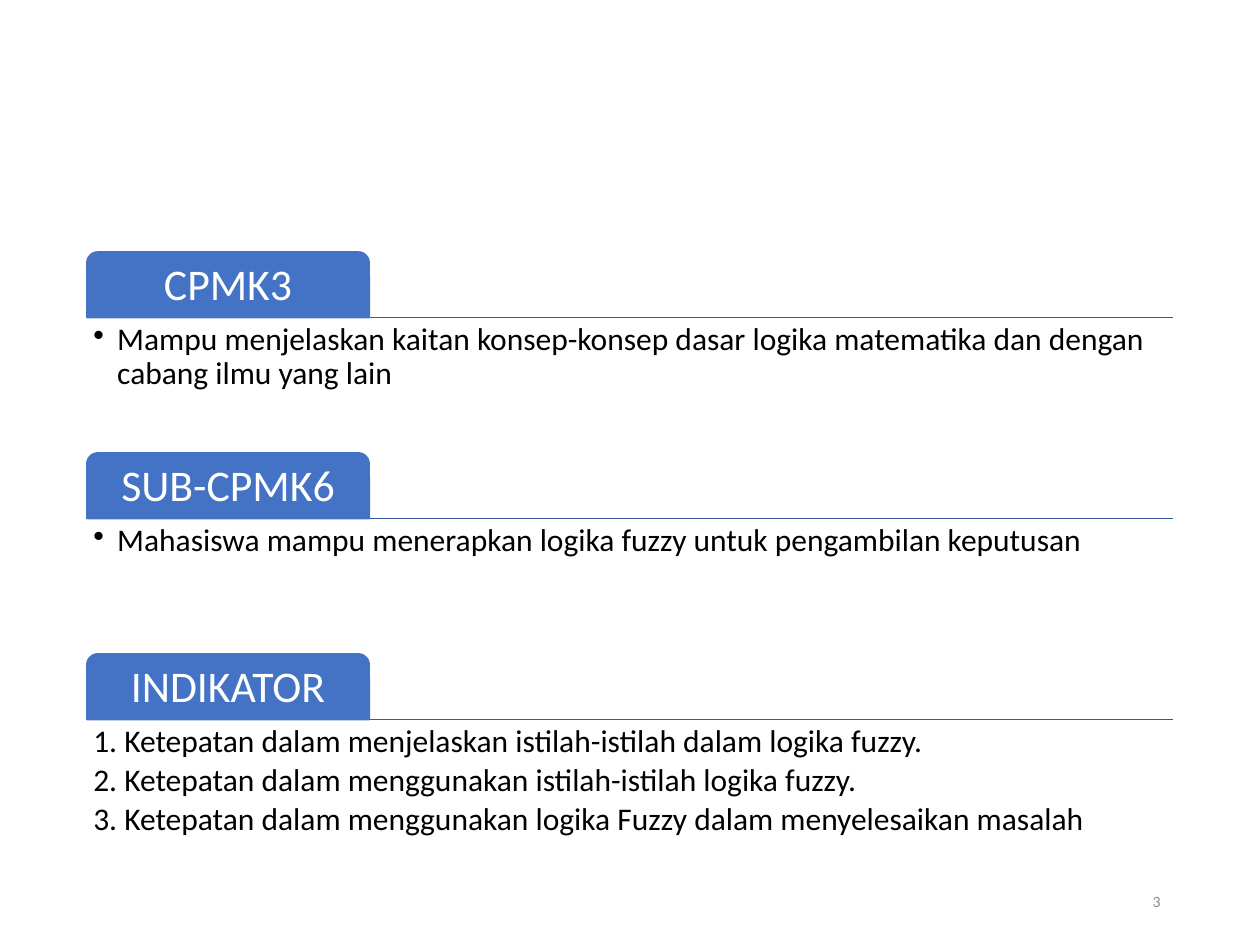
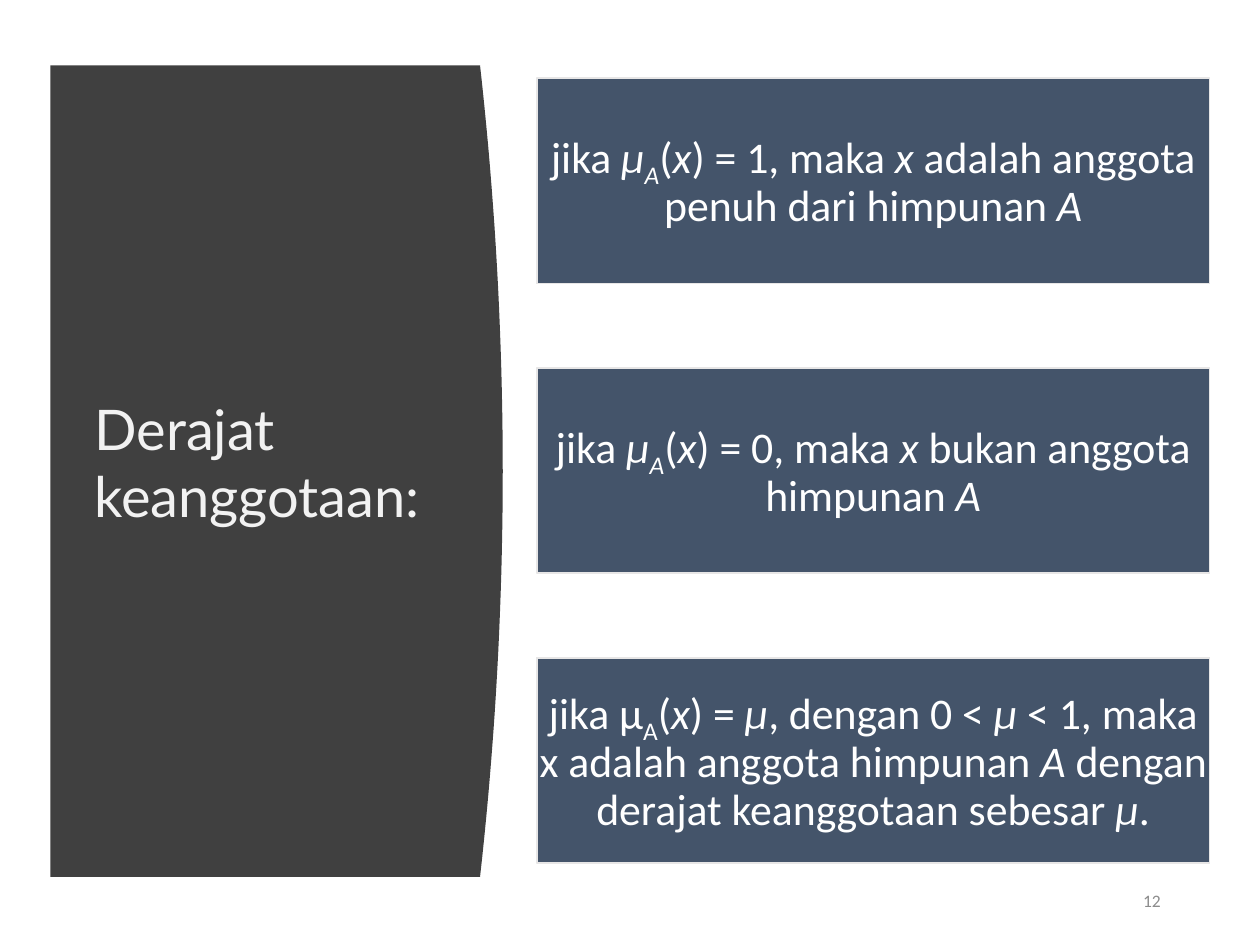
from dataclasses import dataclass

from lxml.etree import SubElement
from pptx import Presentation
from pptx.dml.color import RGBColor
from pptx.enum.shapes import MSO_CONNECTOR, MSO_SHAPE
from pptx.enum.text import MSO_ANCHOR, PP_ALIGN
from pptx.oxml.ns import qn
from pptx.util import Inches, Pt


@dataclass(frozen=True)
class Theme:
    """Colours, fonts and type sizes shared by the slides."""
    body_font: str = "Calibri"
    title_font: str = "Lato"
    white: str = "FFFFFF"
    black: str = "000000"
    tab: str = "4472C4"
    rule: str = "365B9D"
    panel: str = "404040"
    title: str = "F2F2F2"
    card: str = "44546A"
    card_edge: str = "E7E6E6"
    number: str = "8C8C8C"
    title_size: float = 32
    label_size: float = 25
    body_size: float = 18


THEME = Theme()
SECTIONS = [
    ("CPMK3", ["Mampu menjelaskan kaitan konsep-konsep dasar logika matematika "
               "dan dengan cabang ilmu yang lain"], "•"),
    ("SUB-CPMK6", ["Mahasiswa mampu menerapkan logika fuzzy untuk "
                   "pengambilan keputusan"], "•"),
    ("INDIKATOR", [
        "1. Ketepatan dalam menjelaskan istilah-istilah dalam logika fuzzy.",
        "2. Ketepatan dalam menggunakan istilah-istilah logika fuzzy.",
        "3. Ketepatan dalam menggunakan logika Fuzzy dalam menyelesaikan masalah",
    ], None),
]
DEGREES = [
    "jika *μ_A_*(*x*) = 1, maka *x* adalah anggota penuh dari himpunan *A*",
    "jika *μ_A_*(*x*) = 0, maka *x* bukan anggota himpunan *A*",
    "jika μ_A_(*x*) = *μ*, dengan 0 < *μ* < 1, maka x adalah anggota "
    "himpunan *A* dengan derajat keanggotaan sebesar *μ*.",
]


def rgb(color):
    """Turn a hex string into a colour."""
    return RGBColor.from_string(color)


def set_bullet(p, bullet):
    """Give a paragraph a hanging indent and an optional bullet."""
    pPr = p._p.get_or_add_pPr()
    pPr.set("marL", str(Inches(0.19)))
    pPr.set("indent", str(-Inches(0.19)))
    if bullet:
        SubElement(pPr, qn("a:buChar")).set("char", bullet)
    else:
        SubElement(pPr, qn("a:buNone"))


def add_runs(p, text, size, color, font):
    """Add runs, with *italic* and _subscript_ marks in the text."""
    for i, chunk in enumerate(text.split("*")):
        for j, part in enumerate(chunk.split("_")):
            if not part:
                continue
            r = p.add_run()
            r.text = part
            r.font.size = Pt(size)
            r.font.name = font
            r.font.color.rgb = rgb(color)
            r.font.italic = i % 2 == 1
            if j % 2:
                r.font._element.set("baseline", "-25000")


def write(sp, lines, size=THEME.body_size, color=THEME.black, font=THEME.body_font,
          align=PP_ALIGN.LEFT, anchor=MSO_ANCHOR.TOP, inset=(0.05, 0.05),
          spacing=0.9, after=0, hanging=False, bullet=None):
    """Fill a shape with formatted paragraphs."""
    tf = sp.text_frame
    tf.word_wrap = True
    tf.vertical_anchor = anchor
    tf.margin_left = tf.margin_right = Inches(inset[0])
    tf.margin_top = tf.margin_bottom = Inches(inset[1])
    for i, line in enumerate(lines):
        p = tf.add_paragraph() if i else tf.paragraphs[0]
        if hanging:
            set_bullet(p, bullet)
        p.alignment = align
        p.line_spacing = spacing
        p.space_after = Pt(after)
        add_runs(p, line, size, color, font)


def add_text(s, box, lines, **fmt):
    """Add a text box."""
    write(s.shapes.add_textbox(*map(Inches, box)), lines, **fmt)


def paint(sp, fill, edge=None):
    """Set a flat fill and an optional thin outline."""
    sp.shadow.inherit = False
    sp.fill.solid()
    sp.fill.fore_color.rgb = rgb(fill)
    if edge:
        sp.line.color.rgb = rgb(edge)
        sp.line.width = Pt(1)
    else:
        sp.line.fill.background()


def add_label(s, kind, box, text, fill, edge, inset):
    """Add a filled shape with centred white text."""
    sp = s.shapes.add_shape(kind, *map(Inches, box))
    paint(sp, fill, edge)
    write(sp, [text], size=THEME.label_size, color=THEME.white,
          align=PP_ALIGN.CENTER, anchor=MSO_ANCHOR.MIDDLE, inset=(inset, inset))


def add_rule(s, x1, x2, y):
    """Add a thin horizontal line."""
    line = s.shapes.add_connector(MSO_CONNECTOR.STRAIGHT,
                                  *map(Inches, (x1, y, x2, y)))
    line.line.color.rgb = rgb(THEME.rule)
    line.line.width = Pt(1)
    SubElement(line._element.spPr, qn("a:effectLst"))


def add_section(s, top, label, lines, bullet):
    """Add a tab on a rule with its text below."""
    left, width, tab_height = 0.69, 8.62, 0.52
    base = top + tab_height
    add_rule(s, left, left + width, base)
    add_label(s, MSO_SHAPE.ROUND_2_SAME_RECTANGLE, (left, top, 2.24, tab_height),
              label, THEME.tab, THEME.tab, 0.05)
    add_text(s, (left, base, width, 1.05), lines, after=2.7,
             hanging=True, bullet=bullet)


def add_curved_panel(s, left, top, right, bottom, bulge, steps=40):
    """Add a panel whose right side bows outwards as a parabola."""
    half = (bottom - top) / 2
    edge = []
    for i in range(steps + 1):
        t = 2 * i / steps - 1
        edge.append((Inches(right + bulge * (1 - t * t)),
                     Inches(top + half * (1 + t))))
    fb = s.shapes.build_freeform(Inches(left), Inches(top))
    fb.add_line_segments(edge + [(Inches(left), Inches(bottom))], close=True)
    paint(fb.convert_to_shape(), THEME.panel)


def add_number(s, number, size):
    """Add the slide number at the lower right."""
    add_text(s, (7.06, 6.95, 2.25, 0.4), [number], size=size, color=THEME.number,
             align=PP_ALIGN.RIGHT, anchor=MSO_ANCHOR.MIDDLE,
             inset=(0.1, 0.05), spacing=1)


def build_outcomes(s):
    """Build the slide of learning outcomes."""
    for i, (label, lines, bullet) in enumerate(SECTIONS):
        add_section(s, 2 + 1.595 * i, label, lines, bullet)
    add_number(s, "3", 9)


def build_membership(s):
    """Build the slide of membership degrees."""
    add_curved_panel(s, 0.4, 0.52, 3.81, 6.96, 0.18)
    add_number(s, "12", 10)
    for i, text in enumerate(DEGREES):
        add_label(s, MSO_SHAPE.RECTANGLE, (4.26, 0.62 + 2.3 * i, 5.34, 1.63),
                  text, THEME.card, THEME.card_edge, 0.02)
    add_text(s, (0.65, 3.08, 3.09, 1.72), ["Derajat keanggotaan:"],
             size=THEME.title_size, color=THEME.title, font=THEME.title_font,
             inset=(0.1, 0.05), spacing=1)


def main():
    """Build and save the presentation."""
    prs = Presentation()
    prs.slide_width, prs.slide_height = Inches(10), Inches(7.5)
    for build in (build_outcomes, build_membership):
        build(prs.slides.add_slide(prs.slide_layouts[6]))
    prs.save("out.pptx")


if __name__ == "__main__":
    main()
